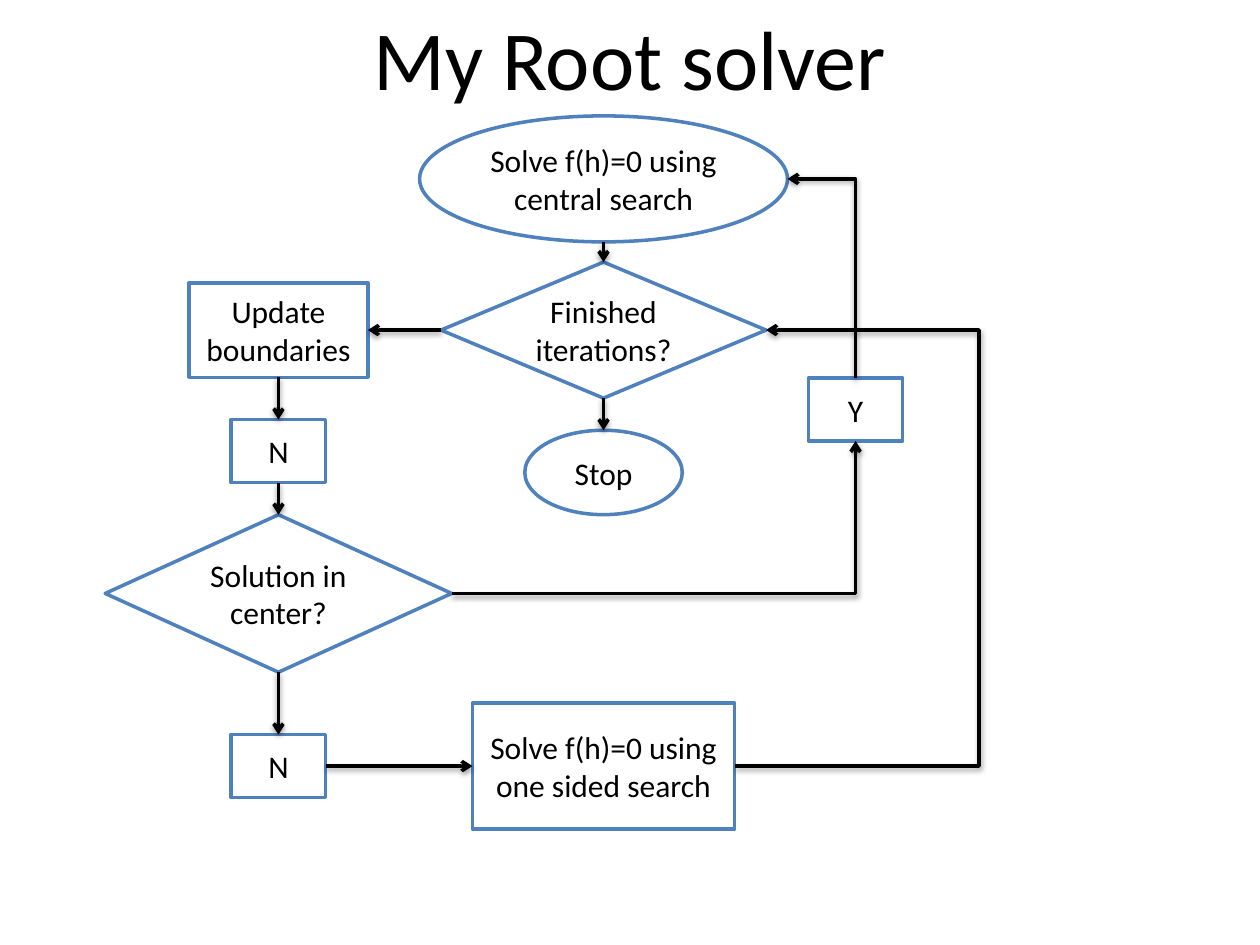
from lxml.etree import SubElement
from pptx import Presentation
from pptx.dml.color import RGBColor
from pptx.enum.shapes import MSO_CONNECTOR as CONN, MSO_SHAPE as SHAPE
from pptx.enum.text import MSO_ANCHOR as ANCHOR, MSO_AUTO_SIZE as AUTO, PP_ALIGN as ALIGN
from pptx.oxml.ns import qn
from pptx.util import Inches, Pt

BLACK, WHITE, BLUE = "000000", "FFFFFF", "4F81BD"
SIDES = {"top": (0, -1), "left": (-1, 0), "bottom": (0, 1), "right": (1, 0)}

COLS = {"left": 1.38, "mid": 3.96, "right": 5.96}
NODES = {
    "central": (SHAPE.OVAL, "mid", 0.5, 2.92, 1, "Solve f(h)=0 using central search"),
    "finished": (SHAPE.DIAMOND, "mid", 1.7, 2.58, 1.08, "Finished iterations?"),
    "stop": (SHAPE.OVAL, "mid", 2.83, 1.25, 0.67, "Stop"),
    "update": (SHAPE.RECTANGLE, "left", 1.7, 1.42, 0.75, "Update boundaries"),
    "not_done": (SHAPE.RECTANGLE, "left", 2.66, 0.75, 0.5, "N"),
    "in_center": (SHAPE.DIAMOND, "left", 3.79, 2.75, 1.25, "Solution in center?"),
    "off_center": (SHAPE.RECTANGLE, "left", 5.16, 0.75, 0.5, "N"),
    "one_sided": (SHAPE.RECTANGLE, "mid", 5.16, 2.08, 1, "Solve f(h)=0 using one sided search"),
    "yes": (SHAPE.RECTANGLE, "right", 2.33, 0.75, 0.5, "Y"),
}
LINKS = [
    ("central", "bottom", "finished", "top"),
    ("finished", "bottom", "stop", "top"),
    ("finished", "left", "update", "right"),
    ("update", "bottom", "not_done", "top"),
    ("not_done", "bottom", "in_center", "top"),
    ("in_center", "bottom", "off_center", "top"),
    ("off_center", "right", "one_sided", "left"),
    ("in_center", "right", "yes", "bottom"),
    ("yes", "top", "central", "right"),
    ("one_sided", "right", "finished", "right"),
]
LOOP_X = 6.94


def rgb(value):
    return RGBColor.from_string(value)


def set_text(tf, text, size, anchor):
    for name, value in {"word_wrap": True, "vertical_anchor": anchor}.items():
        setattr(tf, name, value)
    p = tf.paragraphs[0]
    p.alignment = ALIGN.CENTER
    r = p.add_run()
    r.text = text
    for name, value in {"name": "Calibri", "size": Pt(size)}.items():
        setattr(r.font, name, value)
    r.font.color.rgb = rgb(BLACK)


def add_title(s, left, top, width, height, text):
    sp = s.shapes.title
    box = {"left": left, "top": top, "width": width, "height": height}
    for name, value in box.items():
        setattr(sp, name, Inches(value))
    set_text(sp.text_frame, text, 48, ANCHOR.TOP)
    sp.text_frame.auto_size = AUTO.SHAPE_TO_FIT_TEXT


def add_node(s, left, top, kind, col, cy, width, height, text):
    x, y = left + COLS[col] - width / 2, top + cy - height / 2
    sp = s.shapes.add_shape(kind, *map(Inches, (x, y, width, height)))
    sp.shadow.inherit = False
    sp.fill.solid()
    sp.fill.fore_color.rgb = rgb(WHITE)
    sp.line.color.rgb = rgb(BLUE)
    sp.line.width = Pt(2)
    set_text(sp.text_frame, text, 18, ANCHOR.MIDDLE)
    return sp


def site(sp, side):
    dx, dy = SIDES[side]
    return (sp.left + sp.width * (1 + dx) // 2, sp.top + sp.height * (1 + dy) // 2)


def style_connector(cxn):
    cxn.line.color.rgb = rgb(BLACK)
    cxn.line.width = Pt(2)
    SubElement(cxn.line._get_or_add_ln(), qn("a:tailEnd"), type="arrow")
    effects = SubElement(cxn._element.spPr, qn("a:effectLst"))
    shadow = SubElement(effects, qn("a:outerShdw"), blurRad="40000", dist="20000",
                        dir="5400000", rotWithShape="0")
    color = SubElement(shadow, qn("a:srgbClr"), val=BLACK)
    SubElement(color, qn("a:alpha"), val="38000")


def glue(cxn, tag, sp, side):
    step = 2 if sp.auto_shape_type == SHAPE.OVAL else 1
    SubElement(cxn._element.nvCxnSpPr.cNvCxnSpPr, qn(tag),
               id=str(sp.shape_id), idx=str(list(SIDES).index(side) * step))


def add_link(s, start, side1, end, side2, loop_x):
    (x1, y1), (x2, y2) = site(start, side1), site(end, side2)
    horizontal = [SIDES[side][1] == 0 for side in (side1, side2)]
    corner = horizontal[0] != horizontal[1]
    loop = side1 == side2
    turned = corner and not horizontal[0]
    ends = (x1, y1, x2, y2)
    if turned:
        cx, cy = (x1 + x2) // 2, (y1 + y2) // 2
        w, h = abs(y2 - y1) // 2, abs(x2 - x1) // 2
        ends = (cx - w, cy + h, cx + w, cy - h)
    kind = CONN.ELBOW if corner or loop else CONN.STRAIGHT
    cxn = s.shapes.add_connector(kind, *ends)
    geometry = cxn._element.spPr.find(qn("a:prstGeom"))
    if corner:
        geometry.set("prst", "bentConnector2")
    if turned:
        cxn._element.spPr.find(qn("a:xfrm")).set("rot", "16200000")
    if loop:
        ratio = round(100000 * (loop_x - x1) / (x2 - x1))
        SubElement(geometry.find(qn("a:avLst")), qn("a:gd"), name="adj1", fmla=f"val {ratio}")
    glue(cxn, "a:stCxn", start, side1)
    glue(cxn, "a:endCxn", end, side2)
    style_connector(cxn)


def add_flowchart(s, left, top):
    nodes = {name: add_node(s, left, top, *spec_row) for name, spec_row in NODES.items()}
    for start, side1, end, side2 in LINKS:
        add_link(s, nodes[start], side1, nodes[end], side2, Inches(left + LOOP_X))


prs = Presentation()
prs.slide_width, prs.slide_height = Inches(10), Inches(7.5)
s = prs.slides.add_slide(prs.slide_layouts[5])
add_title(s, 0, 0, 10, 0.91, "My Root solver")
add_flowchart(s, 0.83, 0.92)
prs.save("out.pptx")
